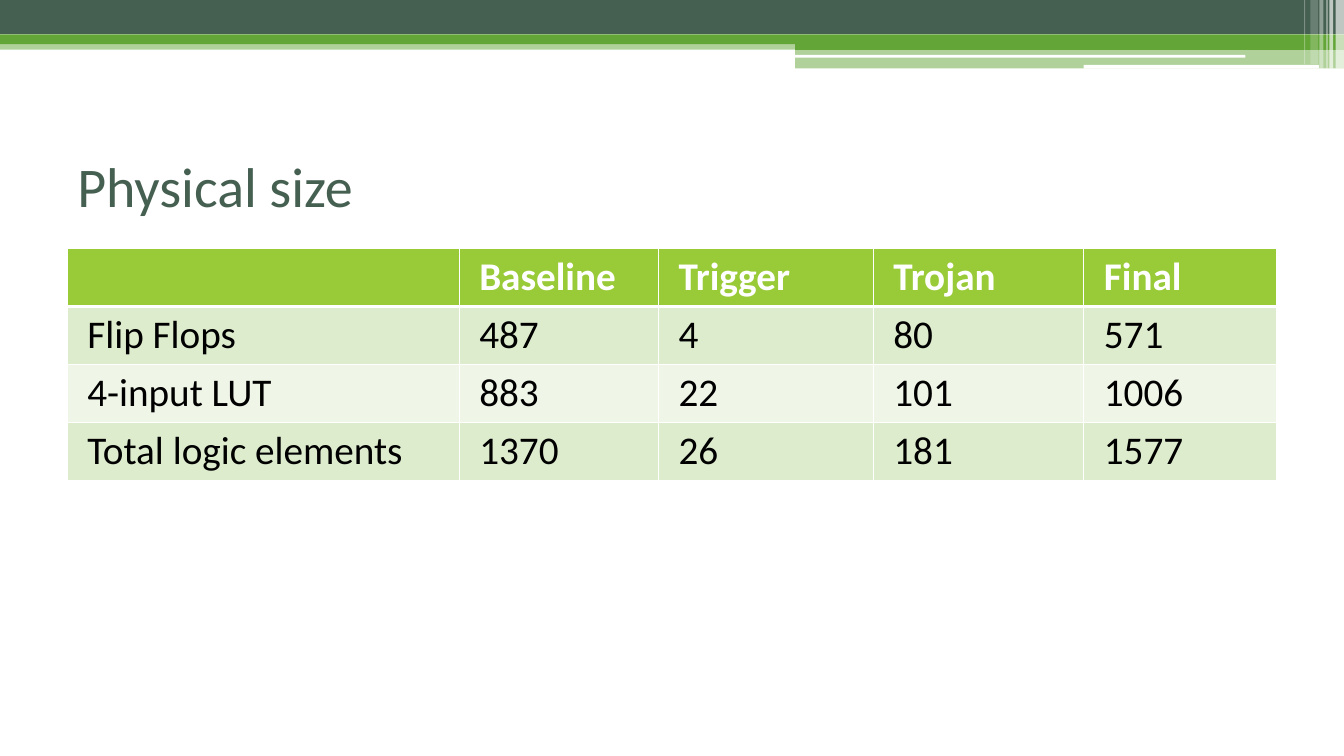
from pptx import Presentation
from pptx.dml.color import RGBColor
from pptx.enum.shapes import MSO_SHAPE as Shape
from pptx.enum.text import MSO_ANCHOR as Anchor, MSO_AUTO_SIZE as AutoSize, PP_ALIGN as Align
from pptx.oxml.ns import qn
from pptx.util import Pt
from lxml.etree import SubElement

FOREST = RGBColor(0x45, 0x5F, 0x51)
GREEN = RGBColor(0x63, 0xA5, 0x37)
LIME = RGBColor(0x99, 0xCB, 0x38)
BAND_DARK = RGBColor(0xDE, 0xEC, 0xCE)
BAND_LIGHT = RGBColor(0xEF, 0xF6, 0xE8)
WHITE = RGBColor(0xFF, 0xFF, 0xFF)
BLACK = RGBColor(0x00, 0x00, 0x00)

STRIPES = [
    (0, 28.8, 960, 6.6, GREEN, 50),
    (0, 0, 960, 24.5, FOREST, 100),
    (0, 24.5, 960, 7, GREEN, 100),
    (568, 28.1, 392, 7.5, GREEN, 100),
    (568, 34.6, 392, 14.2, GREEN, 50),
]
HIGHLIGHTS = [(567.5, 39.2, 322, 2), (774, 46.3, 168, 2.7)]
GLINTS = [
    (954, 6, 49, 65),
    (949.5, 2.8, 49, 65),
    (947.5, 0.8, 49, 60),
    (942.5, 2.8, 49, 40),
    (936, 5.6, 46, 20),
    (931.5, 0.8, 46, 30),
]
SIZES = [
    ("", "Baseline", "Trigger", "Trojan", "Final"),
    ("Flip Flops", "487", "4", "80", "571"),
    ("4-input LUT", "883", "22", "101", "1006"),
    ("Total logic elements", "1370", "26", "181", "1577"),
]
COLUMN_WIDTHS = [280, 142.3, 153.5, 150.4, 137.8]
ROW_HEIGHT = 41.4


class SlideBuilder:
    """Holds the slide and its style, and adds each kind of element."""

    font = "Calibri"

    def __init__(self, slide):
        self.slide = slide

    def add_text(self, frame, text, size, color, bold=False):
        run = frame.paragraphs[0].add_run()
        run.text = text
        run.font.name = self.font
        run.font.size = Pt(size)
        run.font.bold = bold
        run.font.color.rgb = color

    def title(self, text, left, top, width, height):
        heading = self.slide.shapes.title
        heading.left, heading.top = Pt(left), Pt(top)
        heading.width, heading.height = Pt(width), Pt(height)
        frame = heading.text_frame
        frame.auto_size = AutoSize.NONE
        frame.vertical_anchor = Anchor.MIDDLE
        frame.paragraphs[0].alignment = Align.LEFT
        self.add_text(frame, text, 40, FOREST)

    def bar(self, left, top, width, height, color, opacity=100, kind=Shape.RECTANGLE):
        bar = self.slide.shapes.add_shape(kind, Pt(left), Pt(top), Pt(width), Pt(height))
        bar.shadow.inherit = False
        bar.line.fill.background()
        bar.fill.solid()
        bar.fill.fore_color.rgb = color
        if opacity < 100:
            tint = bar._element.spPr.find(qn("a:solidFill"))[0]
            SubElement(tint, qn("a:alpha"), val=str(opacity * 1000))

    def borders(self, cell, top, bottom):
        properties = cell._tc.get_or_add_tcPr()
        for side, weight in (("L", 1), ("R", 1), ("T", top), ("B", bottom)):
            edge = SubElement(properties, qn(f"a:ln{side}"), w=str(Pt(weight)))
            fill = SubElement(edge, qn("a:solidFill"))
            SubElement(fill, qn("a:srgbClr"), val=str(WHITE))

    def table(self, rows, left, top, widths, row_height):
        table = self.slide.shapes.add_table(
            len(rows), len(widths), Pt(left), Pt(top),
            Pt(sum(widths)), Pt(row_height * len(rows))).table
        for column, width in zip(table.columns, widths):
            column.width = Pt(width)
        for r, texts in enumerate(rows):
            table.rows[r].height = Pt(row_height)
            header = r == 0
            band = LIME if header else BAND_DARK if r % 2 else BAND_LIGHT
            for c, text in enumerate(texts):
                cell = table.cell(r, c)
                cell.margin_left = cell.margin_right = Pt(14.4)
                cell.margin_top = cell.margin_bottom = Pt(3.6)
                self.borders(cell, 3 if r == 1 else 1, 3 if header else 1)
                cell.fill.solid()
                cell.fill.fore_color.rgb = band
                if text:
                    self.add_text(cell.text_frame, text, 28, WHITE if header else BLACK, header)


def main():
    deck = Presentation()
    deck.slide_width, deck.slide_height = Pt(960), Pt(540)
    page = SlideBuilder(deck.slides.add_slide(deck.slide_layouts[5]))
    for stripe in STRIPES:
        page.bar(*stripe)
    for highlight in HIGHLIGHTS:
        page.bar(*highlight, WHITE, kind=Shape.ROUNDED_RECTANGLE)
    for left, width, height, opacity in GLINTS:
        page.bar(left, 0, width, height, WHITE, opacity)
    page.table(SIZES, 48, 177.4, COLUMN_WIDTHS, ROW_HEIGHT)
    page.title("Physical size", 48, 90, 864, 84)
    deck.save("out.pptx")


if __name__ == "__main__":
    main()
